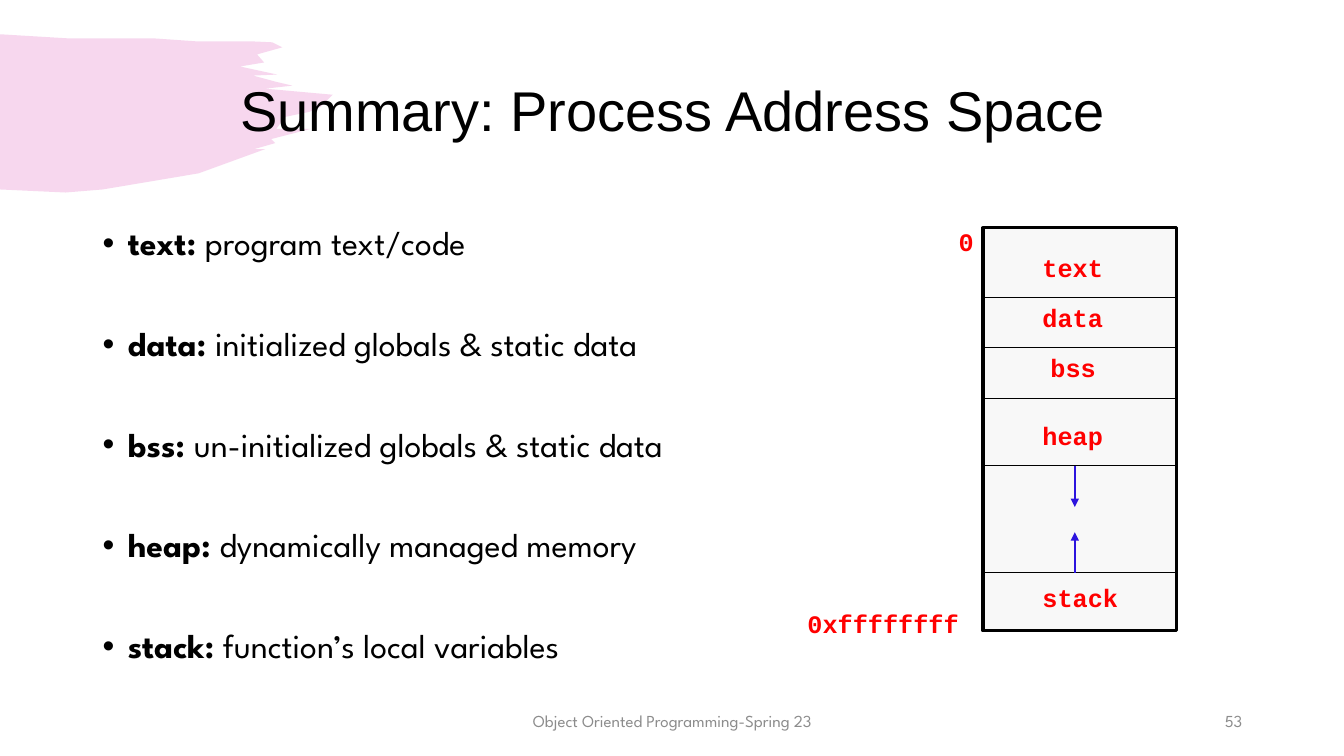
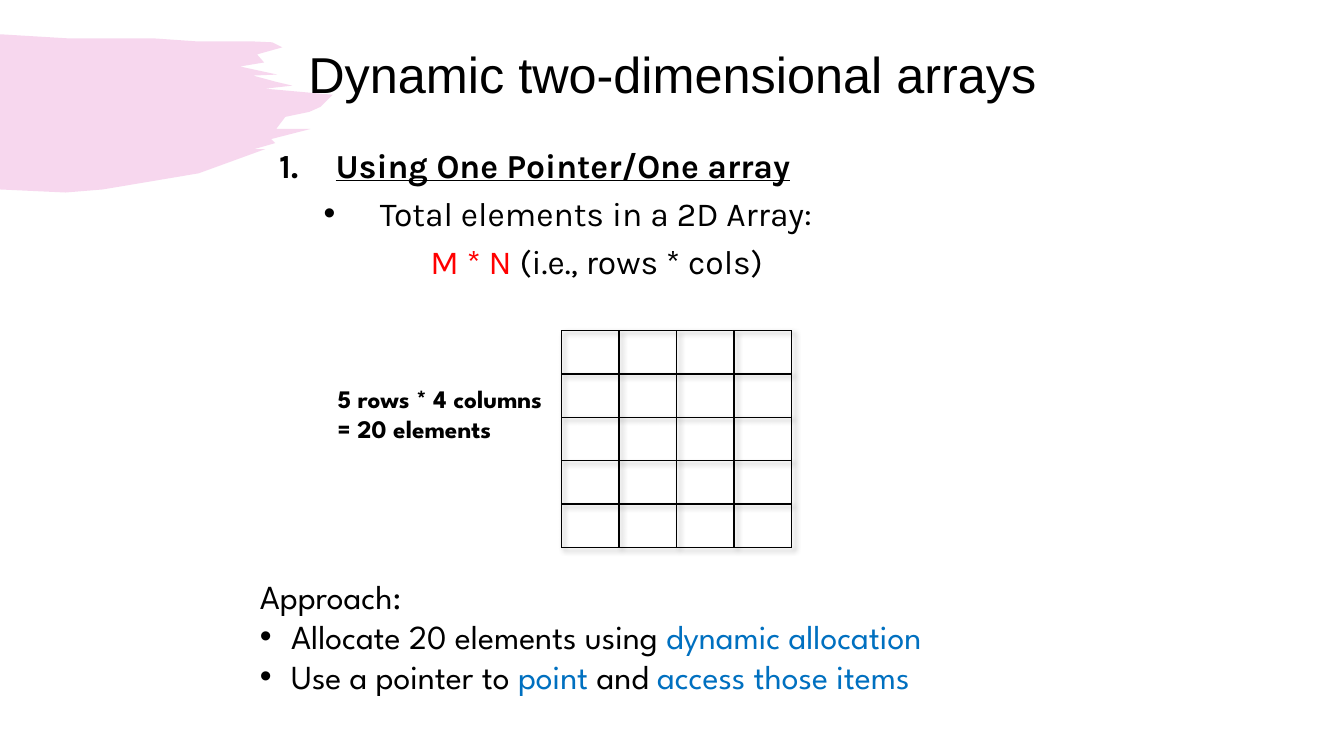
from dataclasses import dataclass

from lxml.etree import SubElement, fromstring
from pptx import Presentation
from pptx.dml.color import RGBColor as Color
from pptx.enum.shapes import MSO_CONNECTOR as Connector, MSO_SHAPE as Shape
from pptx.enum.text import MSO_ANCHOR as Anchor, MSO_AUTO_SIZE as AutoSize, PP_ALIGN as Align
from pptx.oxml.ns import nsdecls, qn
from pptx.util import Inches, Pt


@dataclass(frozen=True)
class Theme:
    black: Color = Color.from_string("000000")
    red: Color = Color.from_string("FF0000")
    blue: Color = Color.from_string("0070C0")
    arrow: Color = Color.from_string("2C14DE")
    gray: Color = Color.from_string("8C8C8C")
    memory: Color = Color.from_string("F8F8F8")
    brush: Color = Color.from_string("D739AE")
    title_font: str = "Arial"
    body_font: str = "League Spartan"
    list_font: str = "Karla"
    code_font: str = "Courier New"
    body_size: int = 24
    label_size: int = 18
    footer_size: int = 12


theme = Theme()


def add_box(page, left, top, width, height):
    """Add a wrapping text box and return its text frame."""
    box = page.shapes.add_textbox(Inches(left), Inches(top), Inches(width), Inches(height))
    box.text_frame.word_wrap = True
    return box.text_frame


def add_para(frame, spans, font, size, margin=0, hang=0, bullet=None, before=0):
    """Write (text, colour, bold) spans as the next paragraph of a frame."""
    first = frame.paragraphs[0]
    para = frame.add_paragraph() if first.runs else first
    properties = para._p.get_or_add_pPr()
    properties.set("marL", str(Inches(margin)))
    properties.set("indent", str(-Inches(hang)))
    if bullet == "1.":
        SubElement(properties, qn("a:buAutoNum"), type="arabicPeriod")
    elif bullet:
        SubElement(properties, qn("a:buFont"), typeface="Arial")
        SubElement(properties, qn("a:buChar"), char=bullet)
    para.space_before = Pt(before)
    for text, color, bold in spans:
        span = para.add_run()
        span.text = text
        span.font.name = font
        span.font.size = Pt(size)
        span.font.bold = bold
        span.font.color.rgb = color
    return para


deck = Presentation()
deck.slide_width = Inches(13.33)
deck.slide_height = Inches(7.5)
layout = deck.slide_layouts[5]

# Titled pages
titles = [
    ("Summary: Process Address Space", 40, (0.92, 0.4, 11.5, 1.45)),
    ("Dynamic two-dimensional arrays", 36, (2.17, 0.14, 9, 1.25)),
]
pages = []
for text, size, place in titles:
    page = deck.slides.add_slide(layout)
    title = page.shapes.title
    title.left, title.top, title.width, title.height = map(Inches, place)
    frame = title.text_frame
    frame.auto_size = AutoSize.NONE
    frame.vertical_anchor = Anchor.MIDDLE
    para = add_para(frame, [(text, theme.black, False)], theme.title_font, size)
    para.alignment = Align.CENTER
    para.line_spacing = 0.9
    pages.append(page)
memory_page, array_page = pages

# Brush stroke: top edge, ragged tip, lower edge
brush_outline = [
    (0.66, 0.38), (1.51, 0.38), (1.94, 0.41), (2.48, 0.41), (2.7, 0.42), (2.8, 0.47),
    (2.55, 0.54), (2.62, 0.62), (2.38, 0.66), (2.75, 0.74), (2.51, 0.75), (2.73, 0.81),
    (2.9, 0.85), (2.63, 0.88), (3.3, 0.94), (3.18, 1.06), (3.07, 1.11), (2.83, 1.16),
    (2.74, 1.28), (3.08, 1.28), (2.69, 1.38), (2.73, 1.42), (2.52, 1.48), (2.63, 1.48),
    (1.97, 1.72), (1.02, 1.88), (0.65, 1.91), (0, 1.88),
]
builder = memory_page.shapes.build_freeform(Inches(0), Inches(0.34))
builder.add_line_segments([(Inches(x), Inches(y)) for x, y in brush_outline], close=True)
brush = builder.convert_to_shape()
brush.shadow.inherit = False
brush.fill.solid()
brush.fill.fore_color.rgb = theme.brush
brush.line.fill.background()
SubElement(brush.element.spPr.find(qn("a:solidFill"))[0], qn("a:alpha"), val="20000")
# The layout carries the stroke for both pages
layout.shapes.element.insert(2, brush.element)

# Memory page: segment descriptions
frame = add_box(memory_page, 0.92, 2.2, 11.5, 4.55)
descriptions = [
    ("text: ", "program text/code"),
    ("data: ", "initialized globals & static data"),
    ("bss: ", "un-initialized globals & static data"),
    ("heap: ", "dynamically managed memory"),
    ("stack: ", "function’s local variables"),
]
for index, (name, meaning) in enumerate(descriptions):
    spans = [(name, theme.black, True), (meaning, theme.black, False)]
    para = add_para(frame, spans, theme.body_font, theme.body_size,
                    0.25, 0.25, "•", 46 if index else 0)
    para.line_spacing = 0.9

# Memory page: footer and page number
footers = [
    ("Object Oriented Programming-Spring 23", 4.42, 4.5, Align.CENTER),
    ("53", 9.42, 3, Align.RIGHT),
]
for text, left, width, alignment in footers:
    frame = add_box(memory_page, left, 6.95, width, 0.4)
    frame.vertical_anchor = Anchor.MIDDLE
    para = add_para(frame, [(text, theme.gray, False)], theme.body_font, theme.footer_size)
    para.alignment = alignment

# Memory page: address space block
memory_left, memory_width = 9.75, 1.92
block = memory_page.shapes.add_shape(
    Shape.RECTANGLE, Inches(memory_left), Inches(2.26), Inches(memory_width), Inches(4))
block.shadow.inherit = False
block.fill.solid()
block.fill.fore_color.rgb = theme.memory
block.line.color.rgb = theme.black
block.line.width = Pt(2.25)

# Memory page: dividers and growth arrows
memory_right, arrow_x = memory_left + memory_width, 10.66
strokes = [(memory_left, y, memory_right, y, theme.black, 0.75)
           for y in (2.95, 3.45, 3.95, 4.62, 5.68)]
strokes += [
    (arrow_x, 4.62, arrow_x, 5.03, theme.arrow, 1.25),
    (arrow_x, 5.68, arrow_x, 5.28, theme.arrow, 1.5),
]
for x1, y1, x2, y2, color, weight in strokes:
    stroke = memory_page.shapes.add_connector(
        Connector.STRAIGHT, Inches(x1), Inches(y1), Inches(x2), Inches(y2))
    stroke.line.color.rgb = color
    stroke.line.width = Pt(weight)
    properties = stroke.element.spPr
    if color == theme.arrow:
        SubElement(properties.find(qn("a:ln")), qn("a:tailEnd"), type="triangle")
    SubElement(properties, qn("a:effectLst"))

# Memory page: segment names and addresses
labels = [
    ("0", 9.41, 2.2, 0.42),
    ("0xffffffff", 7.91, 5.99, 1.71),
    ("text", 10.24, 2.45, 1.25),
    ("data", 10.24, 2.95, 1.25),
    ("bss", 10.32, 3.45, 0.83),
    ("heap", 10.24, 4.12, 1.25),
    ("stack", 10.24, 5.73, 1.25),
]
for text, left, top, width in labels:
    frame = add_box(memory_page, left, top, width, 0.4)
    add_para(frame, [(text, theme.red, True)], theme.code_font, theme.label_size)

# Array page: numbered heading and element count
frame = add_box(array_page, 2.17, 1.39, 8.92, 1.6)
heading = add_para(frame, [("Using One Pointer/One array", theme.black, True)],
                   theme.list_font, theme.body_size, 1.06, 0.56, "1.")
heading.runs[0].font.underline = True
add_para(frame, [("Total elements in a 2D Array:", theme.black, False)],
         theme.list_font, theme.body_size, 1.5, 0.56, "•", 5.5)
add_para(frame, [("M * N ", theme.red, False), ("(i.e., rows * cols)", theme.black, False)],
         theme.list_font, theme.body_size, 2, before=5.5)

# Array page: empty grid
rows, columns, cell_width, cell_height = 5, 4, 0.57, 0.43
table = array_page.shapes.add_table(
    rows, columns, Inches(5.57), Inches(3.28),
    Inches(columns * cell_width), Inches(rows * cell_height)).table
table.first_row = table.horz_banding = False
table._tbl.tblPr.insert(0, fromstring(
    f'<a:effectLst {nsdecls("a")}><a:outerShdw blurRad="50800" dist="38100" dir="2700000">'
    '<a:srgbClr val="000000"><a:alpha val="40000"/></a:srgbClr></a:outerShdw></a:effectLst>'))
for column in table.columns:
    column.width = Inches(cell_width)
for row in table.rows:
    row.height = Inches(cell_height)
for cell in table.iter_cells():
    properties = cell._tc.get_or_add_tcPr()
    for side in ("a:lnL", "a:lnR", "a:lnT", "a:lnB"):
        border = SubElement(properties, qn(side), w=str(Pt(1)))
        paint = SubElement(border, qn("a:solidFill"))
        SubElement(paint, qn("a:srgbClr"), val=str(theme.black))
    cell.fill.background()

# Array page: grid caption
frame = add_box(array_page, 3.25, 3.75, 2.25, 1.01)
add_para(frame, [("5 rows * 4 columns = 20 elements", theme.black, True)],
         theme.body_font, theme.label_size)

# Array page: approach
frame = add_box(array_page, 2.48, 5.66, 8.29, 1.31)
add_para(frame, [("Approach:", theme.black, False)], theme.body_font, theme.body_size)
approach = [
    [("Allocate 20 elements using ", theme.black, False),
     ("dynamic allocation", theme.blue, False)],
    [("Use a pointer to ", theme.black, False), ("point", theme.blue, False),
     (" and ", theme.black, False), ("access those items", theme.blue, False)],
]
for spans in approach:
    add_para(frame, spans, theme.body_font, theme.body_size, 0.31, 0.31, "•")

deck.save("out.pptx")
